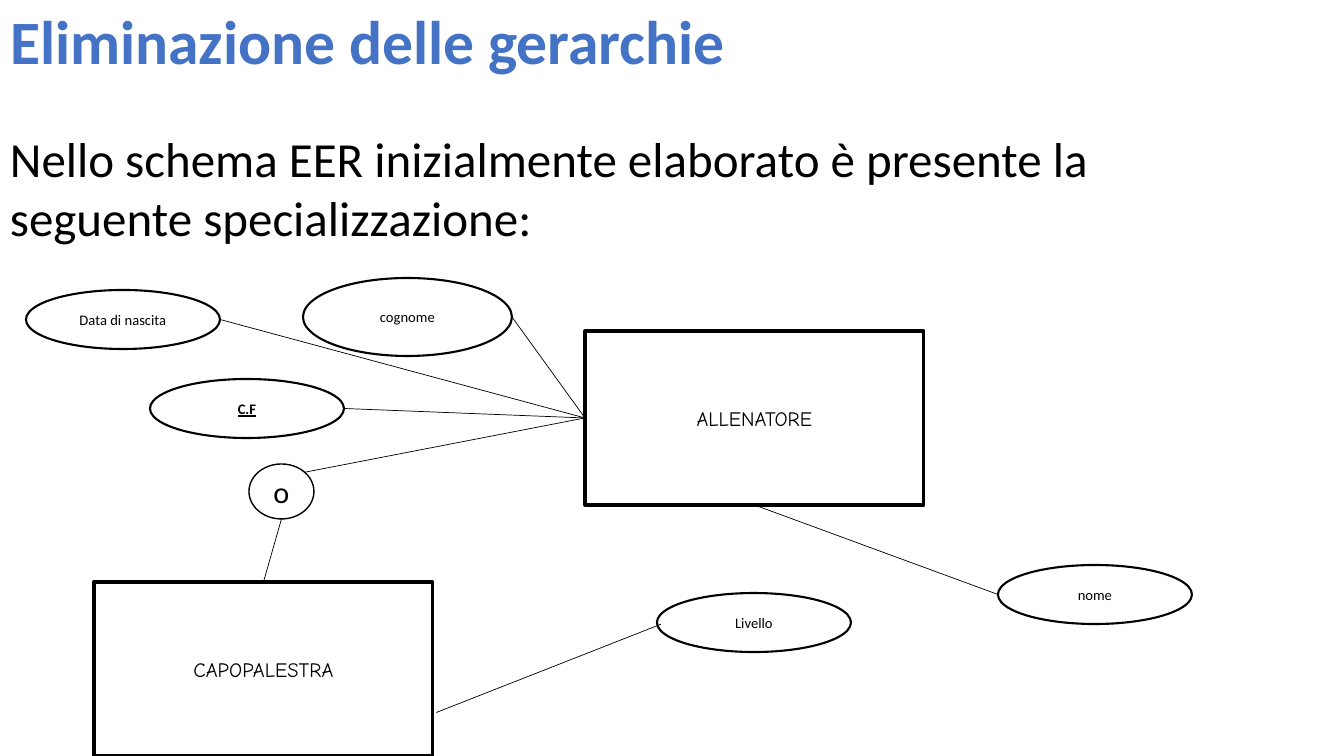
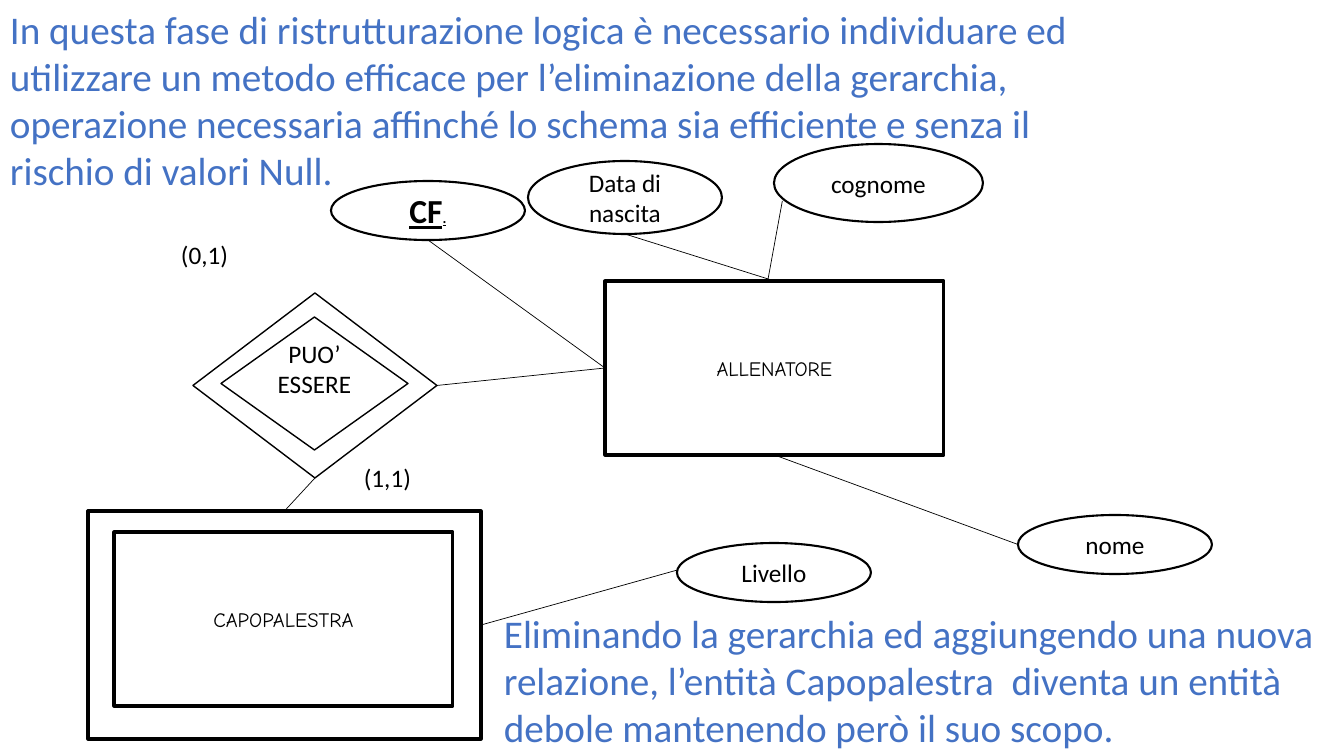
import pptx
import pptx.dml.color
import pptx.enum.shapes
import pptx.enum.text
import pptx.oxml
import pptx.oxml.ns
import pptx.util

EMU_PER_PIXEL = 914400 / 100.8
COLORS = {"accent": "4472C4", "ink": "000000", "paper": "FFFFFF"}
BODY_FONT = "Calibri"
ENTITY_FONT = "Comic Neue"
ENTITY_SIZE = (339, 174)
ATTRIBUTE_SIZE = (194, 59)
WIDE_ATTRIBUTE_SIZE = (209, 78)
TITLE_LAYOUT, BLANK_LAYOUT = 5, 6

# Points on a shape, as fractions of its width and height
TOP, BOTTOM, LEFT, RIGHT = (0.5, 0), (0.5, 1), (0, 0.5), (1, 0.5)

SHAPE = pptx.enum.shapes.MSO_SHAPE
ALIGN = pptx.enum.text.PP_ALIGN
ANCHOR = pptx.enum.text.MSO_ANCHOR


def px(pixels):
    """Turn pixels into EMU."""
    return pptx.util.Emu(round(pixels * EMU_PER_PIXEL))


def rgb(name):
    """Look up a palette colour."""
    return pptx.dml.color.RGBColor.from_string(COLORS[name])


def write(frame, text, size, color="ink", font=BODY_FONT, align=ALIGN.LEFT):
    """Fill a text frame, one paragraph a line, in one style."""
    frame.word_wrap = True
    frame.text = text
    for paragraph in frame.paragraphs:
        paragraph.alignment = align
        paragraph.font.name = font
        paragraph.font.size = pptx.util.Pt(size)
        paragraph.font.color.rgb = rgb(color)


def add_title(slide, text, box):
    """Place and style the slide title."""
    title = slide.shapes.title
    title.left, title.top, title.width, title.height = map(px, box)
    frame = title.text_frame
    write(frame, text, 44, "accent")
    frame.vertical_anchor = ANCHOR.MIDDLE
    frame.paragraphs[0].font.bold = True
    frame.paragraphs[0].line_spacing = 0.9


def add_text(slide, text, box, size, color="ink"):
    """Add a wrapped text box."""
    frame = slide.shapes.add_textbox(*map(px, box)).text_frame
    write(frame, text, size, color)


def add_node(slide, kind, box, line_width, text="", size=18, font=BODY_FONT):
    """Add an outlined diagram node with centred text."""
    node = slide.shapes.add_shape(kind, *map(px, box))
    node.shadow.inherit = False
    node.fill.solid()
    node.fill.fore_color.rgb = rgb("paper")
    node.line.color.rgb = rgb("ink")
    node.line.width = pptx.util.Pt(line_width)
    if text:
        write(node.text_frame, text, size, font=font, align=ALIGN.CENTER)
        node.text_frame.vertical_anchor = ANCHOR.MIDDLE
    return node


def add_entity(slide, name, corner):
    """Add an entity rectangle at its top left corner."""
    return add_node(slide, SHAPE.RECTANGLE, (*corner, *ENTITY_SIZE), 2.25,
                    name, 14.6, ENTITY_FONT)


def add_attribute(slide, name, corner, text_size, shape_size=ATTRIBUTE_SIZE):
    """Add an attribute ellipse at its top left corner."""
    return add_node(slide, SHAPE.OVAL, (*corner, *shape_size), 1.5,
                    name, text_size)


def link(slide, start, start_at, end, end_at):
    """Draw a thin line between points of two nodes."""
    ends = [round(value)
            for node, (across, down) in ((start, start_at), (end, end_at))
            for value in (node.left + across * node.width,
                          node.top + down * node.height)]
    line = slide.shapes.add_connector(
        pptx.enum.shapes.MSO_CONNECTOR.STRAIGHT, *ends)
    line.line.color.rgb = rgb("ink")
    line.line.width = pptx.util.Pt(0.5)
    properties = line._element.spPr
    properties.append(pptx.oxml.parse_xml(
        "<a:effectLst %s/>" % pptx.oxml.ns.nsdecls("a")))


def add_core(slide, corner, text_size):
    """Add both entities with nome and Livello, relative to ALLENATORE."""
    x, y = corner
    allenatore = add_entity(slide, "ALLENATORE", corner)
    capopalestra = add_entity(slide, "CAPOPALESTRA", (x - 491, y + 251))
    nome = add_attribute(slide, "nome", (x + 413, y + 234), text_size)
    livello = add_attribute(slide, "Livello", (x + 72, y + 262), text_size)
    link(slide, nome, LEFT, allenatore, BOTTOM)
    return allenatore, capopalestra, livello


def add_relation(slide, text, box):
    """Add the identifying relation as a double diamond."""
    x, y, width, height = box
    outer = add_node(slide, SHAPE.DIAMOND, box, 1)
    inner = add_node(slide, SHAPE.DIAMOND,
                     (x + 28, y + 24, width - 57, height - 52), 1, text)
    frame = inner.text_frame
    frame.margin_left = frame.margin_right = frame.margin_top = 0
    frame.margin_bottom = px(30)
    return outer


def build_hierarchy(deck):
    """Build the slide with the initial specialisation."""
    slide = deck.slides.add_slide(deck.slide_layouts[TITLE_LAYOUT])
    add_title(slide, "Eliminazione delle gerarchie", (0, -53, 1209, 195))
    add_text(slide, "Nello schema EER inizialmente elaborato è presente la "
             "seguente specializzazione:", (0, 124, 1209, 129), 35)

    size = 10.4
    allenatore, capopalestra, livello = add_core(slide, (585, 331), size)
    codice = add_attribute(slide, "C.F", (150, 379), size)
    codice.text_frame.paragraphs[0].font.bold = True
    codice.text_frame.paragraphs[0].font.underline = True
    nascita = add_attribute(slide, "Data di nascita", (26, 290), size)
    cognome = add_attribute(slide, "cognome", (303, 278), size,
                            WIDE_ATTRIBUTE_SIZE)
    overlap = add_node(slide, SHAPE.OVAL, (249, 464, 65, 55), 1, "o", 21.6)

    for attribute in (cognome, codice, nascita):
        link(slide, attribute, RIGHT, allenatore, LEFT)
    link(slide, allenatore, LEFT, overlap, (0.86, 0.15))
    link(slide, overlap, BOTTOM, capopalestra, TOP)
    link(slide, capopalestra, (1.01, 0.75), livello, (0.02, 0.53))


def build_weak_entity(deck):
    """Build the slide where a relation replaces the hierarchy."""
    slide = deck.slides.add_slide(deck.slide_layouts[BLANK_LAYOUT])
    add_text(slide, "In questa fase di ristrutturazione logica è necessario "
             "individuare ed utilizzare un metodo efficace per l’eliminazione "
             "della gerarchia, operazione necessaria affinché lo schema sia "
             "efficiente e senza il rischio di valori Null.",
             (0, 0, 1141, 201), 28, "accent")

    size = 18
    relation = add_relation(slide, "PUO’\nESSERE", (193, 293, 244, 185))
    weak_frame = add_node(slide, SHAPE.RECTANGLE, (88, 511, 393, 228), 2.25)
    allenatore, _, livello = add_core(slide, (605, 281), size)
    codice = add_attribute(slide, "CF", (331, 181), 24)
    key = codice.text_frame.paragraphs[0]
    key.font.bold = key.font.underline = True
    dot = key.add_run()
    dot.text = "."
    dot.font.size = pptx.util.Pt(10.4)
    nascita = add_attribute(slide, "Data di nascita", (528, 161), size,
                            (194, 73))
    cognome = add_attribute(slide, "cognome", (774, 144), size,
                            WIDE_ATTRIBUTE_SIZE)

    link(slide, cognome, (0.04, 0.73), allenatore, (0.48, 0))
    link(slide, codice, BOTTOM, allenatore, LEFT)
    link(slide, nascita, BOTTOM, allenatore, TOP)
    link(slide, allenatore, LEFT, relation, RIGHT)
    link(slide, relation, BOTTOM, weak_frame, TOP)
    link(slide, weak_frame, RIGHT, livello, (0, 0.46))

    add_text(slide, "(0,1)", (171, 234, 99, 40), size)
    add_text(slide, "(1,1)", (354, 457, 244, 40), size)
    add_text(slide, "Eliminando la gerarchia ed aggiungendo una nuova "
             "relazione, l’entità Capopalestra  diventa un entità debole "
             "mantenendo però il suo scopo.",
             (494, 604, 850, 152), 28, "accent")


def main():
    """Build and save the deck."""
    deck = pptx.Presentation()
    deck.slide_width, deck.slide_height = px(1344), px(756)
    build_hierarchy(deck)
    build_weak_entity(deck)
    deck.save("out.pptx")


main()
